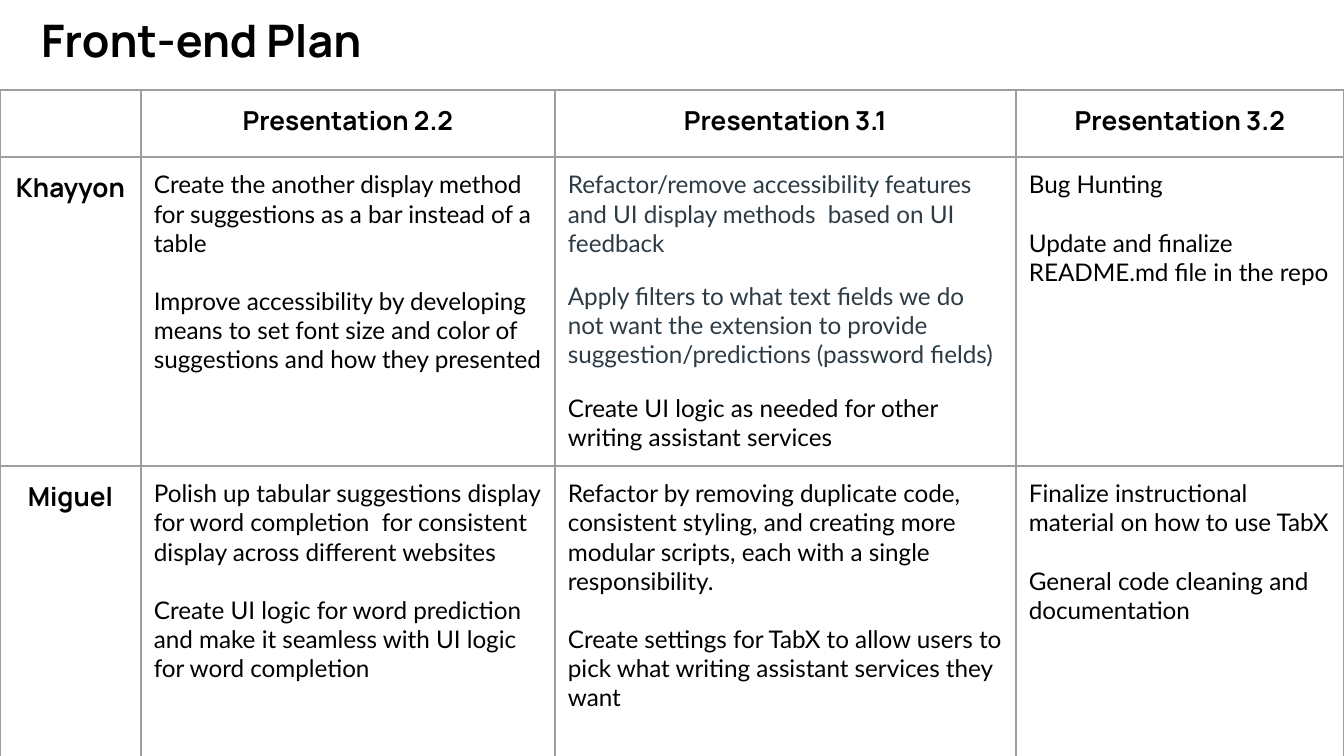
import lxml.etree
import pptx
import pptx.dml.color
import pptx.enum.text
import pptx.oxml.ns
import pptx.util

PX = 9144000 / 1344
BLACK = pptx.dml.color.RGBColor(0x00, 0x00, 0x00)
SLATE = pptx.dml.color.RGBColor(0x2D, 0x3B, 0x45)
BORDER = pptx.dml.color.RGBColor(0x9E, 0x9E, 0x9E)
MARGIN = 13
LINE_GAP = 15.6
COLUMN_WIDTHS = [141, 414, 461, 328]
ROW_HEIGHTS = [67, 309, 298]

HEADINGS = ["", "Presentation 2.2", "Presentation 3.1", "Presentation 3.2"]
PLAN = [
    ["Khayyon",
     ["Create the another display method for suggestions as a bar instead of a table",
      "Improve accessibility by developing means to set font size and color of suggestions and how they presented"],
     ["Refactor/remove accessibility features and UI display methods  based on UI feedback",
      "Apply filters to what text fields we do not want the extension to provide suggestion/predictions (password fields)",
      "Create UI logic as needed for other writing assistant services"],
     ["Bug Hunting",
      "Update and finalize README.md file in the repo"]],
    ["Miguel",
     ["Polish up tabular suggestions display for word completion  for consistent display across different websites",
      "Create UI logic for word prediction and make it seamless with UI logic for word completion"],
     ["Refactor by removing duplicate code, consistent styling, and creating more modular scripts, each with a single responsibility.",
      "Create settings for TabX to allow users to pick what writing assistant services they want"],
     ["Finalize instructional material on how to use TabX",
      "General code cleaning and documentation"]],
]


def px(length):
    return pptx.util.Emu(round(length * PX))


def add_run(paragraph, text, font_name, size, color=BLACK, bold=False):
    run = paragraph.add_run()
    run.text = text
    run.font.name = font_name
    run.font.size = pptx.util.Pt(size)
    run.font.bold = bold
    run.font.color.rgb = color


presentation = pptx.Presentation()
presentation.slide_width = px(1344)
presentation.slide_height = px(756)
slide = presentation.slides.add_slide(presentation.slide_layouts[6])

table_shape = slide.shapes.add_table(3, 4, px(0), px(90), px(sum(COLUMN_WIDTHS)), px(sum(ROW_HEIGHTS)))
table = table_shape.table
table.first_row = False
table.horz_banding = False
for column, width in zip(table.columns, COLUMN_WIDTHS):
    column.width = px(width)
for row, height in zip(table.rows, ROW_HEIGHTS):
    row.height = px(height)

for row_index, row_content in enumerate([HEADINGS] + PLAN):
    for column_index, content in enumerate(row_content):
        cell = table.cell(row_index, column_index)
        cell.margin_left = cell.margin_right = px(MARGIN)
        cell.margin_top = cell.margin_bottom = px(MARGIN)
        cell_properties = cell._tc.get_or_add_tcPr()
        for side in ["a:lnL", "a:lnR", "a:lnT", "a:lnB"]:
            line = lxml.etree.SubElement(cell_properties, pptx.oxml.ns.qn(side), w=str(pptx.util.Pt(0.75)))
            line_fill = lxml.etree.SubElement(line, pptx.oxml.ns.qn("a:solidFill"))
            lxml.etree.SubElement(line_fill, pptx.oxml.ns.qn("a:srgbClr"), val=str(BORDER))
        cell.fill.background()

        if not content:
            continue
        if isinstance(content, str):
            paragraph = cell.text_frame.paragraphs[0]
            paragraph.alignment = pptx.enum.text.PP_ALIGN.CENTER
            add_run(paragraph, content, "Manrope", 14, bold=True)
            continue
        revised = (row_index, column_index) == (1, 2)
        for task_index, task in enumerate(content):
            if task_index == 0:
                paragraph = cell.text_frame.paragraphs[0]
            else:
                paragraph = cell.text_frame.add_paragraph()
                paragraph.space_before = pptx.util.Pt(13 if revised else LINE_GAP)
            color = SLATE if revised and task_index < 2 else BLACK
            add_run(paragraph, task, "Lato", 13, color)

title = slide.shapes.add_textbox(px(28), px(0), px(355), px(46))
title_frame = title.text_frame
title_frame.word_wrap = True
title_frame.margin_left = title_frame.margin_right = px(MARGIN)
title_frame.margin_top = title_frame.margin_bottom = px(MARGIN)
add_run(title_frame.paragraphs[0], "Front-end Plan", "Manrope", 24, bold=True)

presentation.save("out.pptx")
